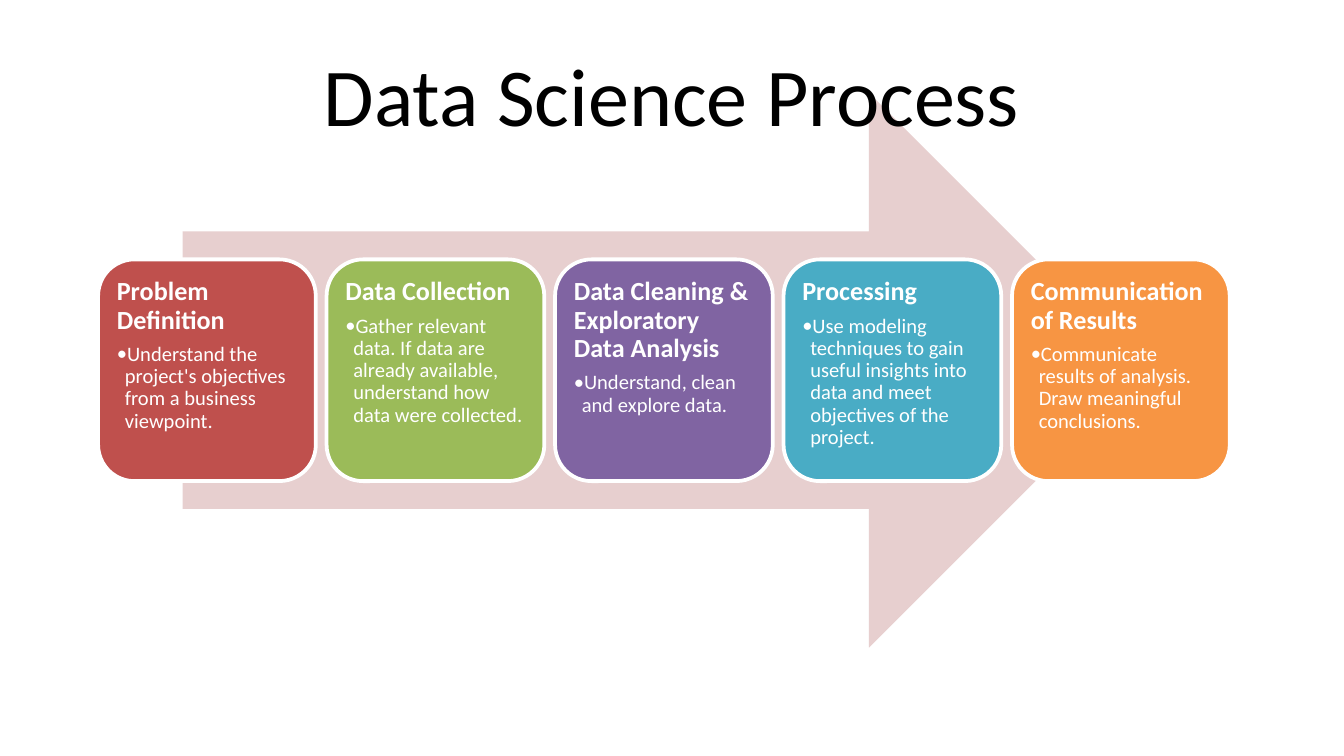
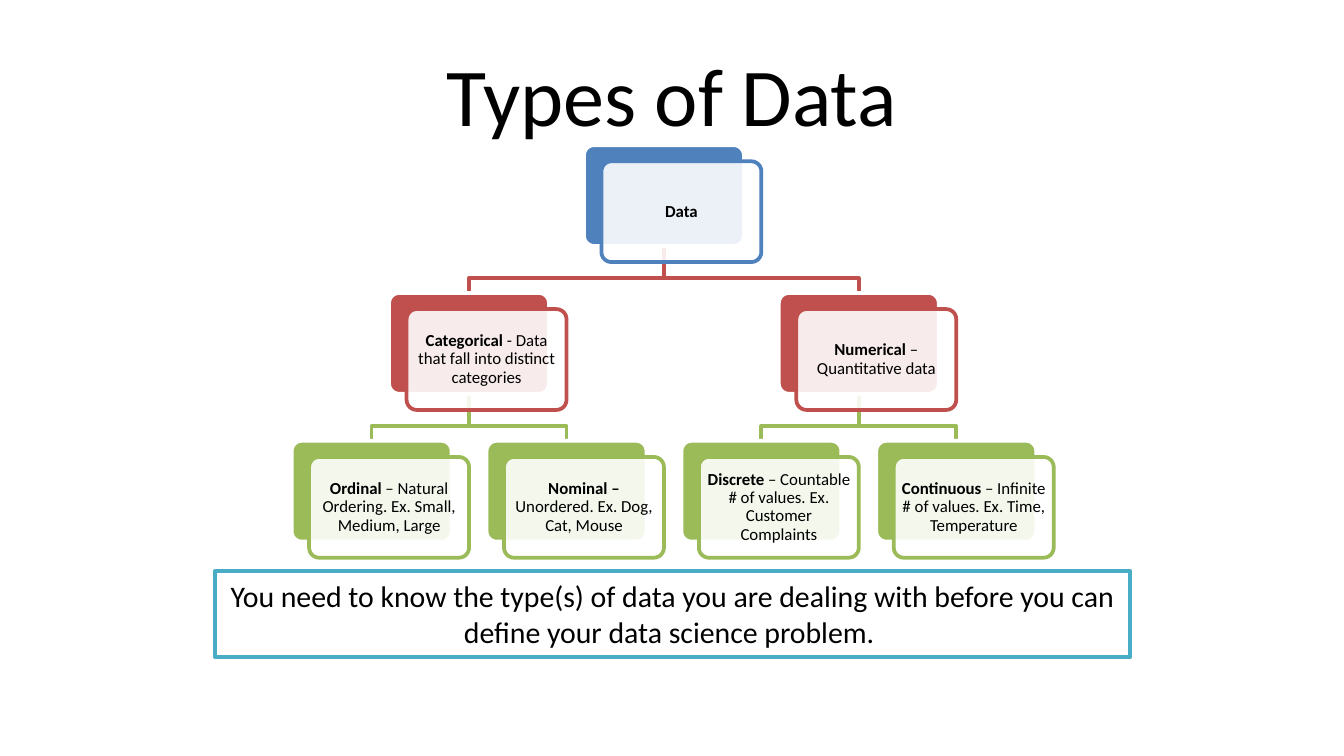
from dataclasses import dataclass

from lxml import etree
from pptx import Presentation
from pptx.dml.color import RGBColor
from pptx.enum.shapes import MSO_SHAPE
from pptx.enum.text import MSO_ANCHOR, MSO_AUTO_SIZE, PP_ALIGN
from pptx.oxml.ns import qn
from pptx.util import Inches, Pt

RECTANGLE = MSO_SHAPE.RECTANGLE
ROUNDED = MSO_SHAPE.ROUNDED_RECTANGLE
RIGHT_ARROW = MSO_SHAPE.RIGHT_ARROW
TOP, MIDDLE = MSO_ANCHOR.TOP, MSO_ANCHOR.MIDDLE
LEFT, CENTER = PP_ALIGN.LEFT, PP_ALIGN.CENTER
NO_FIT, GROW = MSO_AUTO_SIZE.NONE, MSO_AUTO_SIZE.SHAPE_TO_FIT_TEXT


@dataclass(frozen=True)
class Theme:
    font: str = "Calibri"
    black: str = "000000"
    white: str = "FFFFFF"
    blue: str = "4F81BD"
    red: str = "BF504D"
    green: str = "9BBB59"
    purple: str = "8064A2"
    teal: str = "49ACC5"
    orange: str = "F79543"
    pale_red: str = "E7CFCF"
    callout_line: str = "4BACC6"
    title_size: int = 44
    callout_size: int = 16
    heading_size: int = 14
    bullet_size: int = 11
    node_size: int = 9
    line_width: int = 2
    line_spacing: float = 0.9


THEME = Theme()
SLIDE_WIDTH = Inches(10)
SLIDE_HEIGHT = SLIDE_WIDTH * 9 // 16
TITLE_AREA = (0.5, 0.23, 9, 0.94)

STEPS = [
    ("Problem Definition", THEME.red,
     "Understand the project's objectives from a business viewpoint."),
    ("Data Collection", THEME.green,
     "Gather relevant data. If data are already available, "
     "understand how data were collected."),
    ("Data Cleaning & Exploratory Data Analysis", THEME.purple,
     "Understand, clean and explore data."),
    ("Processing", THEME.teal,
     "Use modeling techniques to gain useful insights into data "
     "and meet objectives of the project. "),
    ("Communication of Results", THEME.orange,
     "Communicate results of analysis. Draw meaningful conclusions. "),
]
ARROW_AREA = (1.36, 0.69, 7.17, 4.13)
CARD_LEFT, CARD_TOP, CARD_PITCH = 0.73, 1.93, 1.7
CARD_WIDTH, CARD_HEIGHT = 1.62, 1.65
CARD_INSET = 0.08

DATA_TREE = ("Data", "", [
    ("Categorical", " - Data that fall into distinct categories", [
        ("Ordinal ", "– Natural Ordering. Ex. Small, Medium, Large", []),
        ("Nominal – ", "Unordered. Ex. Dog, Cat, Mouse", []),
    ]),
    ("Numerical", " – Quantitative data", [
        ("Discrete ", "– Countable # of values. Ex. Customer Complaints", []),
        ("Continuous ", "– Infinite # of values. Ex. Time, Temperature", []),
    ]),
])
LEVEL_COLORS = [THEME.blue, THEME.red, THEME.green]
TREE_LEFT, TREE_TOP = 2.17, 1.08
LEAF_PITCH, LEVEL_PITCH = 1.45, 1.1
NODE_WIDTH, NODE_HEIGHT = 1.19, 0.75
NODE_INSET = 0.02
FRONT_SHIFT = (0.13, 0.12)
FRONT_OPACITY = 89
TRUNK_DROP = 0.24

CALLOUT = ("You need to know the type(s) of data you are dealing with "
           "before you can define your data science problem. ")
CALLOUT_AREA = (1.6, 4.25, 6.81, 0.64)


def rgb(color):
    return RGBColor.from_string(color)


def add_box(page, kind, area, fill, line=None, corner=None):
    box = page.shapes.add_shape(kind, *map(Inches, area))
    box.shadow.inherit = False
    box.fill.solid()
    box.fill.fore_color.rgb = rgb(fill)
    if corner is not None:
        box.adjustments[0] = corner
    set_line(box, line)
    return box


def set_line(shape, color):
    if color is None:
        shape.line.fill.background()
    else:
        shape.line.color.rgb = rgb(color)
        shape.line.width = Pt(THEME.line_width)


def set_frame(shape, anchor, across, down, fit=NO_FIT):
    frame = shape.text_frame
    frame.word_wrap = True
    frame.auto_size = fit
    frame.vertical_anchor = anchor
    frame.margin_left = frame.margin_right = Inches(across)
    frame.margin_top = frame.margin_bottom = Inches(down)
    return frame


def add_inner_text(page, area, inset, anchor, margin):
    left, top, width, height = area
    inner = (left + inset, top + inset, width - 2 * inset, height - 2 * inset)
    box = page.shapes.add_textbox(*map(Inches, inner))
    return set_frame(box, anchor, margin, margin)


def style(para, size, color, align, spacing=1.0, bold=None):
    para.alignment = align
    para.line_spacing = spacing
    para.font.name = THEME.font
    para.font.size = Pt(size)
    para.font.color.rgb = rgb(color)
    para.font.bold = bold


def add_bullet(para, color):
    properties = para._p.get_or_add_pPr()
    properties.set("marL", str(Inches(0.06)))
    properties.set("indent", str(Inches(-0.08)))
    bullet_color = etree.Element(qn("a:buClr"))
    etree.SubElement(bullet_color, qn("a:srgbClr"), val=color)
    bullet_font = etree.Element(qn("a:buFont"), typeface=THEME.font)
    bullet = etree.Element(qn("a:buChar"), char="•")
    defaults = properties.find(qn("a:defRPr"))
    for part in (bullet_color, bullet_font, bullet):
        defaults.addprevious(part)


def add_page(deck, title):
    page = deck.slides.add_slide(deck.slide_layouts[5])
    box = page.shapes.title
    box.left, box.top, box.width, box.height = map(Inches, TITLE_AREA)
    frame = set_frame(box, MIDDLE, 0.1, 0.05)
    frame.text = title
    style(frame.paragraphs[0], THEME.title_size, THEME.black, CENTER)
    return page


def add_card(page, column, heading, color, detail):
    area = (CARD_LEFT + column * CARD_PITCH, CARD_TOP, CARD_WIDTH, CARD_HEIGHT)
    add_box(page, ROUNDED, area, color, THEME.white, 0.167)
    frame = add_inner_text(page, area, CARD_INSET, TOP, 0.06)
    head = frame.paragraphs[0]
    head.text = heading
    style(head, THEME.heading_size, THEME.white, LEFT, THEME.line_spacing, True)
    para = frame.add_paragraph()
    para.text = detail
    para.level = 1
    para.space_before = Pt(4.9)
    style(para, THEME.bullet_size, THEME.white, LEFT, THEME.line_spacing)
    add_bullet(para, THEME.white)


def build_process(deck):
    page = add_page(deck, "Data Science Process")
    add_box(page, RIGHT_ARROW, ARROW_AREA, THEME.pale_red)
    for column, step in enumerate(STEPS):
        add_card(page, column, *step)
    title = page.shapes.title.element
    title.getparent().append(title)


def place_tree(node, nodes, links, level=0, first_leaf=0):
    name, detail, children = node
    slot = len(nodes)
    nodes.append(None)
    columns, next_leaf = [], first_leaf
    for child in children:
        column, next_leaf = place_tree(child, nodes, links, level + 1, next_leaf)
        columns.append(column)
    if children:
        column = sum(columns) / len(columns)
    else:
        column, next_leaf = first_leaf, first_leaf + 1
    links.extend((level, column, target) for target in columns)
    nodes[slot] = (level, column, name, detail)
    return column, next_leaf


def node_corner(level, column):
    return TREE_LEFT + column * LEAF_PITCH, TREE_TOP + level * LEVEL_PITCH


def add_link(page, level, parent, child):
    left, top = node_corner(level, parent)
    child_left, child_top = node_corner(level + 1, child)
    start, end = left + NODE_WIDTH / 2, child_left + NODE_WIDTH / 2
    bottom = top + NODE_HEIGHT
    bend = bottom + TRUNK_DROP
    points = [(start, bottom), (start, bend), (end, bend), (end, child_top)]
    corners = [(Inches(x), Inches(y)) for x, y in points]
    builder = page.shapes.build_freeform(*corners[0])
    builder.add_line_segments(corners[1:], close=False)
    link = builder.convert_to_shape()
    link.shadow.inherit = False
    link.fill.background()
    set_line(link, LEVEL_COLORS[level + 1])


def add_node(page, level, column, name, detail):
    left, top = node_corner(level, column)
    color = LEVEL_COLORS[level]
    size = (NODE_WIDTH, NODE_HEIGHT)
    add_box(page, ROUNDED, (left, top, *size), color, THEME.white, 0.1)
    area = (left + FRONT_SHIFT[0], top + FRONT_SHIFT[1], *size)
    front = add_box(page, ROUNDED, area, THEME.white, color, 0.1)
    fill_color = front.element.spPr.find(qn("a:solidFill")).find(qn("a:srgbClr"))
    etree.SubElement(fill_color, qn("a:alpha"), val=str(FRONT_OPACITY * 1000))
    para = add_inner_text(page, area, NODE_INSET, MIDDLE, 0.04).paragraphs[0]
    style(para, THEME.node_size, THEME.black, CENTER, THEME.line_spacing)
    for text, bold in ((name, True), (detail, False)):
        if text:
            span = para.add_run()
            span.text = text
            span.font.bold = bold


def build_types(deck):
    page = add_page(deck, "Types of Data")
    nodes, links = [], []
    place_tree(DATA_TREE, nodes, links)
    for link in reversed(links):
        add_link(page, *link)
    for node in nodes:
        add_node(page, *node)
    callout = add_box(page, RECTANGLE, CALLOUT_AREA, THEME.white, THEME.callout_line)
    frame = set_frame(callout, TOP, 0.1, 0.05, GROW)
    frame.text = CALLOUT
    style(frame.paragraphs[0], THEME.callout_size, THEME.black, CENTER)


def main():
    deck = Presentation()
    deck.slide_width, deck.slide_height = SLIDE_WIDTH, SLIDE_HEIGHT
    build_process(deck)
    build_types(deck)
    deck.save("out.pptx")


if __name__ == "__main__":
    main()
